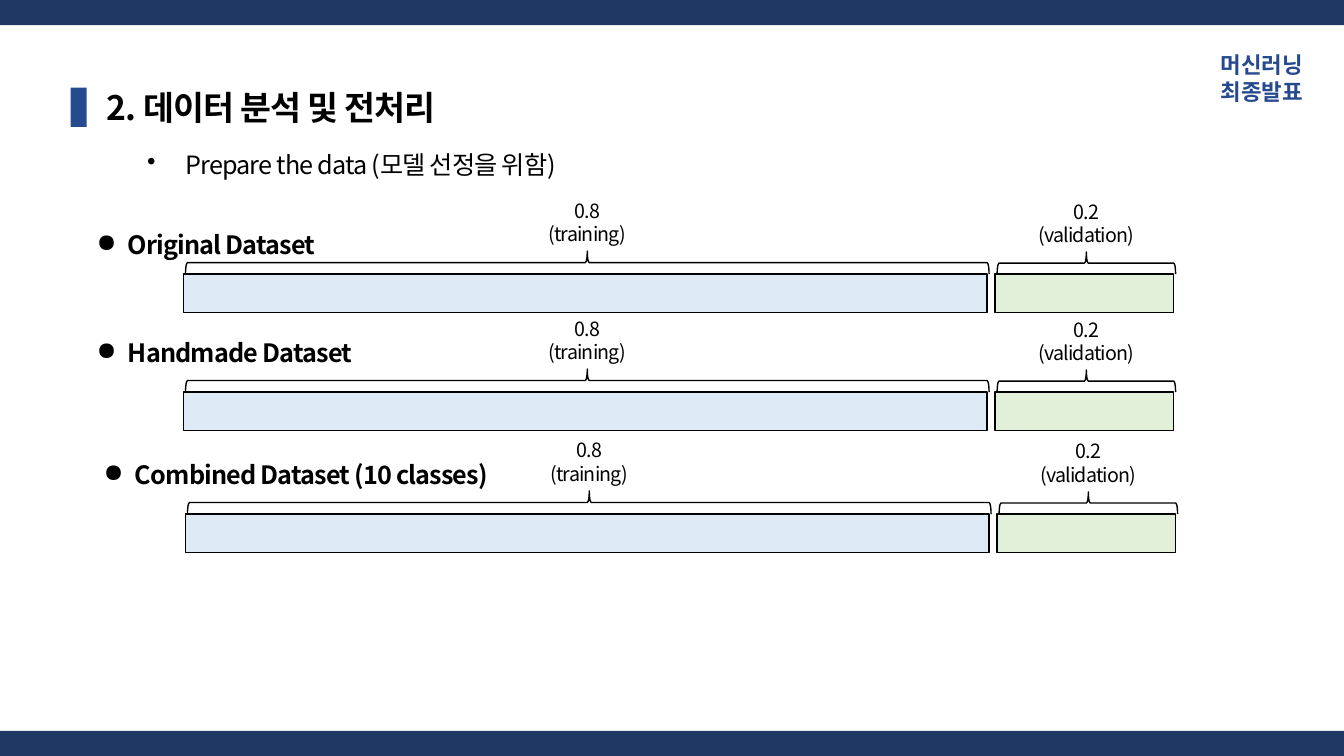
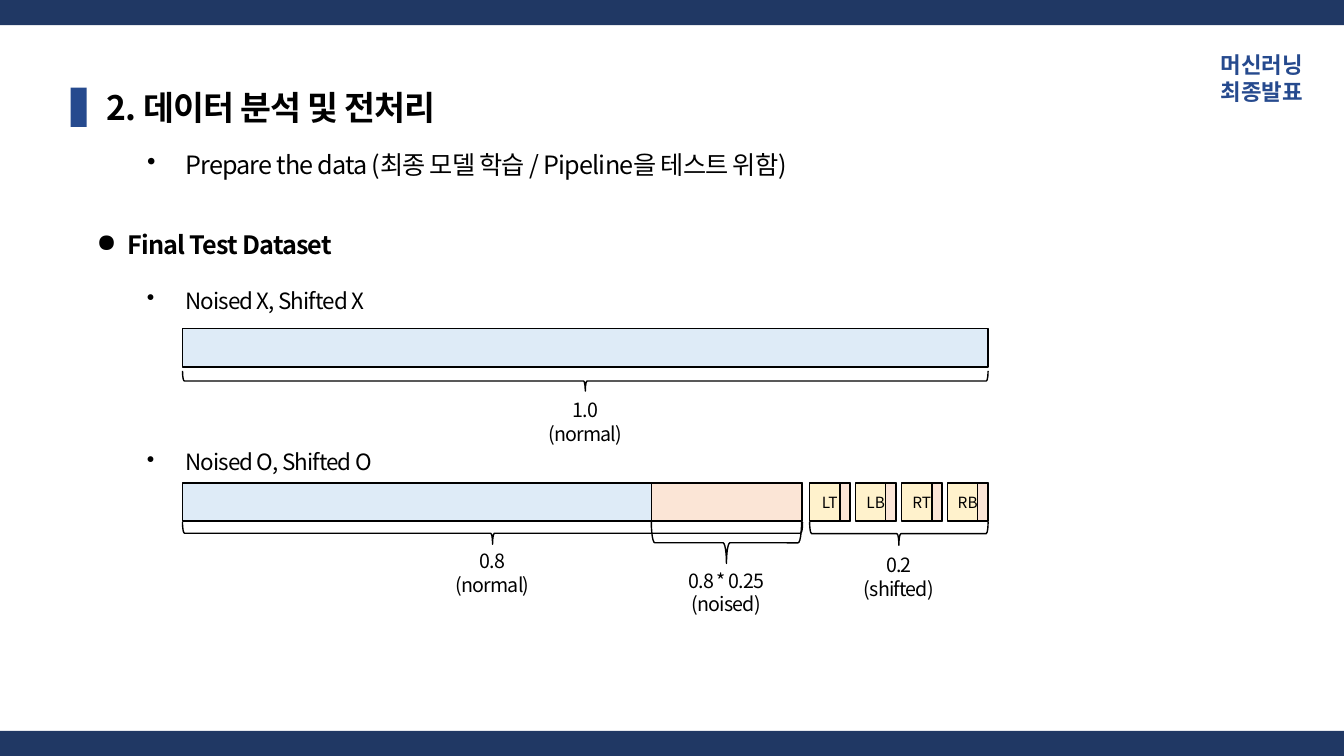
from lxml.etree import SubElement
from pptx import Presentation
from pptx.dml.color import RGBColor
from pptx.enum.shapes import MSO_SHAPE as Preset
from pptx.enum.text import MSO_ANCHOR as Anchor, MSO_AUTO_SIZE as AutoSize, PP_ALIGN as Align
from pptx.oxml.ns import qn
from pptx.util import Pt

PX = 9144  # EMU per px, 100 px to the inch
WIDTH, HEIGHT = 1333, 750
FONT = "Noto Sans CJK KR"
COLORS = {
    "band": "203864", "accent": "264A8E", "text": "000000", "line": "000000",
    "blue": "DEEBF7", "green": "E2F0D9", "yellow": "FFF2CC", "orange": "FBE5D6",
}
# Text styles: font attributes, and letter spacing in hundredths of a point
TIGHT = -60
STYLES = {
    "title": ({"size": Pt(24), "bold": True}, "text", TIGHT),
    "corner": ({"size": Pt(16), "bold": True}, "accent", 0),
    "heading": ({"size": Pt(18), "bold": True}, "text", TIGHT),
    "topic": ({"size": Pt(18), "bold": False}, "text", TIGHT),
    "item": ({"size": Pt(16), "bold": False}, "text", TIGHT),
    "label": ({"size": Pt(14), "bold": False}, "text", TIGHT),
    "tile": ({"size": Pt(11), "bold": False}, "text", 0),
}
# Bullets: character, left margin, hanging indent
BULLETS = {"heading": ("●", 31, -31), "topic": ("•", 88, -38), "item": ("•", 88, -38)}
BAR_HEIGHT = 38


def color(name):
    return RGBColor.from_string(COLORS[name])


def px(*lengths):
    return [round(length * PX) for length in lengths]


def write_paragraph(paragraph, text, style, align=Align.LEFT):
    """Write one paragraph in a named style, with its bullet if it has one."""
    attributes, color_name, spacing = STYLES[style]
    paragraph.alignment = align
    if style in BULLETS:
        character, margin, indent = BULLETS[style]
        paragraph.line_spacing = 2.0
        properties = paragraph._p.get_or_add_pPr()
        properties.set("marL", str(margin * PX))
        properties.set("indent", str(indent * PX))
        SubElement(properties, qn("a:buChar")).set("char", character)
    run = paragraph.add_run()
    run.text = text
    run.font.name = FONT
    run.font.color.rgb = color(color_name)
    for name, value in attributes.items():
        setattr(run.font, name, value)
    properties = run._r.get_or_add_rPr()
    properties.set("spc", str(spacing))
    SubElement(properties, qn("a:ea")).set("typeface", FONT)


def add_text(slide, box, lines, align=Align.LEFT):
    """Add a text box; lines are (text, style) pairs."""
    frame = slide.shapes.add_textbox(*px(*box)).text_frame
    frame.word_wrap = True
    for index, (text, style) in enumerate(lines):
        paragraph = frame.add_paragraph() if index else frame.paragraphs[0]
        write_paragraph(paragraph, text, style, align)
    return frame


def add_box(slide, box, fill, outlined=True, preset=Preset.RECTANGLE):
    shape = slide.shapes.add_shape(preset, *px(*box))
    shape.shadow.inherit = False
    if fill:
        shape.fill.solid()
        shape.fill.fore_color.rgb = color(fill)
    else:
        shape.fill.background()
    if outlined:
        shape.line.color.rgb = color("line")
        shape.line.width = Pt(1)
    else:
        shape.line.fill.background()
    return shape


def add_brace(slide, box, lines, up=False, gap=0):
    """Lay a brace in the box and put its label beyond the tip."""
    left, top, width, height = box
    center_x, center_y = left + width / 2, top + height / 2
    upright = (center_x - height / 2, center_y - width / 2, height, width)
    brace = add_box(slide, upright, None, preset=Preset.RIGHT_BRACE)
    brace.rotation = 270 if up else 90
    label_top = top - 57 - gap if up else top + height + gap
    add_text(slide, (center_x - 70, label_top, 140, 57),
             [(line, "label") for line in lines], Align.CENTER)


def add_base_slide(presentation, topic):
    """Bands, title, corner caption and topic line."""
    slide = presentation.slides.add_slide(presentation.slide_layouts[5])
    for top in (0, HEIGHT - 25):
        add_box(slide, (0, top, WIDTH, 25), "band", outlined=False)
    add_box(slide, (70, 87, 16, 39), "accent", outlined=False)
    title = slide.shapes.title
    title.left, title.top, title.width, title.height = px(96, 81, 667, 50)
    frame = title.text_frame
    for name, value in {"word_wrap": True, "auto_size": AutoSize.NONE,
                        "vertical_anchor": Anchor.TOP}.items():
        setattr(frame, name, value)
    write_paragraph(frame.paragraphs[0], "2. 데이터 분석 및 전처리", "title")
    add_text(slide, (1118, 46, 184, 64),
             [("머신러닝", "corner"), ("최종발표", "corner")], Align.RIGHT)
    add_text(slide, (86, 113, 749, 71), [(topic, "topic")])
    return slide


def add_split_row(slide, left, top, heading, heading_left, heading_rise):
    """A dataset heading over its training and validation bars."""
    add_text(slide, (heading_left, top - heading_rise, 667, 71), [(heading, "heading")])
    parts = (
        (0, 797, "blue", 23, ("0.8", "(training)")),
        (805, 177, "green", 22, ("0.2", "(validation)")),
    )
    for offset, width, fill, brace_height, lines in parts:
        add_box(slide, (left + offset, top, width, BAR_HEIGHT), fill)
        add_brace(slide, (left + offset + 2, top - brace_height, width, brace_height),
                  lines, up=True)


def add_normal_bar(slide, left, top):
    """One bar that is wholly normal data."""
    add_box(slide, (left, top, 799, BAR_HEIGHT), "blue")
    add_brace(slide, (left, top + 42, 799, 20), ("1.0", "(normal)"), gap=2)


def add_mixed_bar(slide, left, top):
    """Normal and noised data, then four shifted tiles with noised edges."""
    add_box(slide, (left, top, 615, BAR_HEIGHT), "blue")
    add_box(slide, (left + 465, top, 149, BAR_HEIGHT), "orange")
    for index, name in enumerate(("LT", "LB", "RT", "RB")):
        tile_left = left + 622 + 45.6 * index
        tile = add_box(slide, (tile_left, top, 40, BAR_HEIGHT), "yellow")
        tile.text_frame.vertical_anchor = Anchor.MIDDLE
        write_paragraph(tile.text_frame.paragraphs[0], name, "tile", Align.CENTER)
        add_box(slide, (tile_left + 30, top, 10, BAR_HEIGHT), "orange")
    braces = (
        (0, 615, 22, ("0.8", "(normal)"), 0),
        (465, 149, 41, ("0.8 * 0.25", "(noised)"), 0),
        (622, 177, 23, ("0.2", "(shifted)"), 3),
    )
    for offset, width, height, lines, gap in braces:
        add_brace(slide, (left + offset, top + 39, width, height), lines, gap=gap)


def build_split_slide(presentation):
    slide = add_base_slide(presentation, "Prepare the data (모델 선정을 위함)")
    rows = (
        (182, 272, "Original Dataset", 86, 79),
        (182, 389, "Handmade Dataset", 86, 89),
        (184, 510, "Combined Dataset (10 classes)", 93, 89),
    )
    for row in rows:
        add_split_row(slide, *row)


def build_test_slide(presentation):
    slide = add_base_slide(
        presentation, "Prepare the data (최종 모델 학습 / Pipeline을 테스트 위함)")
    frame = add_text(slide, (86, 193, 667, 300), [
        ("Final Test Dataset", "heading"),
        ("Noised X, Shifted X", "item"),
        ("Noised O, Shifted O", "item"),
    ])
    frame.paragraphs[2].space_before = Pt(77)  # room for the first bar
    add_normal_bar(slide, 181, 326)
    add_mixed_bar(slide, 181, 479)


def main():
    presentation = Presentation()
    presentation.slide_width, presentation.slide_height = px(WIDTH, HEIGHT)
    build_split_slide(presentation)
    build_test_slide(presentation)
    presentation.save("out.pptx")


if __name__ == "__main__":
    main()
